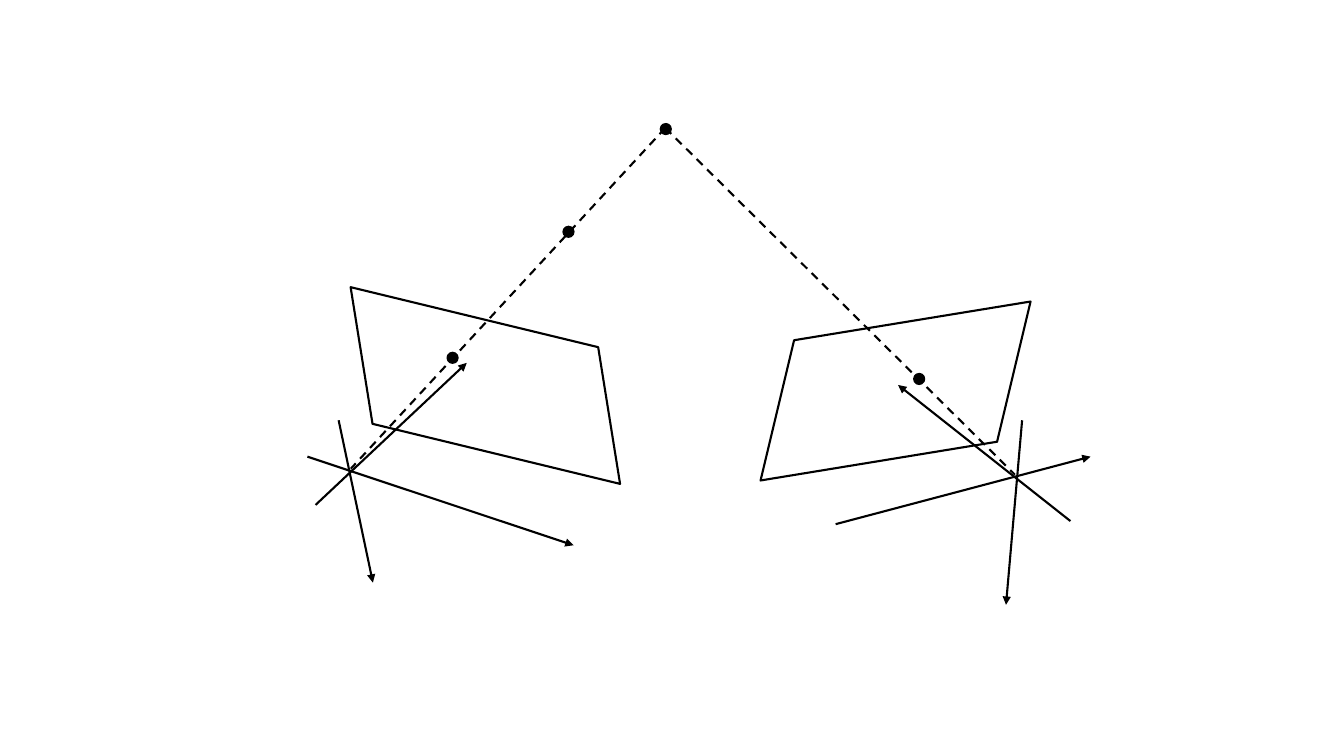
"""Two-view camera geometry: axes, image planes and rays to a shared point."""
from lxml import etree
from pptx import Presentation
from pptx.dml.color import RGBColor
from pptx.enum.dml import MSO_LINE
from pptx.enum.shapes import MSO_CONNECTOR, MSO_SHAPE
from pptx.oxml.ns import qn
from pptx.util import Pt

BLACK = RGBColor(0, 0, 0)
WHITE = RGBColor(255, 255, 255)
DASH = MSO_LINE.DASH
STRAIGHT = MSO_CONNECTOR.STRAIGHT
PARALLELOGRAM = MSO_SHAPE.PARALLELOGRAM
OVAL = MSO_SHAPE.OVAL
LINE_WIDTH = Pt(1.5)
DOT = 7.2

prs = Presentation()
prs.slide_width, prs.slide_height = Pt(960), Pt(540)
s = prs.slides.add_slide(prs.slide_layouts[6])


def add_outlined(kind, left, top, width, height, fill):
    sp = s.shapes.add_shape(kind, Pt(left), Pt(top), Pt(width), Pt(height))
    sp.shadow.inherit = False
    sp.fill.solid()
    sp.fill.fore_color.rgb = fill
    sp.line.color.rgb = BLACK
    sp.line.width = LINE_WIDTH
    return sp


def add_line(x1, y1, x2, y2):
    line = s.shapes.add_connector(STRAIGHT, Pt(x1), Pt(y1), Pt(x2), Pt(y2))
    line.line.color.rgb = BLACK
    line.line.width = LINE_WIDTH
    etree.SubElement(line._element.spPr, qn("a:effectLst"))
    return line


image_planes = [
    (262.1, 191.5, 169.2, 167.8, 80.9),
    (534.2, 231.8, 211, 95, 170.7),
]
for *box, angle in image_planes:
    plane = add_outlined(PARALLELOGRAM, *box, WHITE)
    plane.adjustments[0] = 0.419
    plane.rotation = angle

camera_axes = [
    (219.6, 326.2, 409.7, 389.5),
    (225.4, 360.7, 333.4, 259.2),
    (241.9, 300.2, 266.4, 416.2),
    (596.9, 374.4, 779, 326.2),
    (730.1, 300.2, 718.6, 432),
    (764.6, 372.2, 641.5, 275),
]
for ends in camera_axes:
    axis = add_line(*ends)
    etree.SubElement(axis.line._get_or_add_ln(), qn("a:tailEnd"), type="triangle")

for x, y in [(250.6, 334.8), (725, 339.1)]:
    ray = add_line(475.2, 91.4, x, y)
    ray.line.dash_style = DASH

for x, y in [(475.6, 92.2), (406.1, 165.6), (323.3, 255.6), (656.6, 270.7)]:
    add_outlined(OVAL, x - DOT / 2, y - DOT / 2, DOT, DOT, BLACK)

prs.save("out.pptx")
